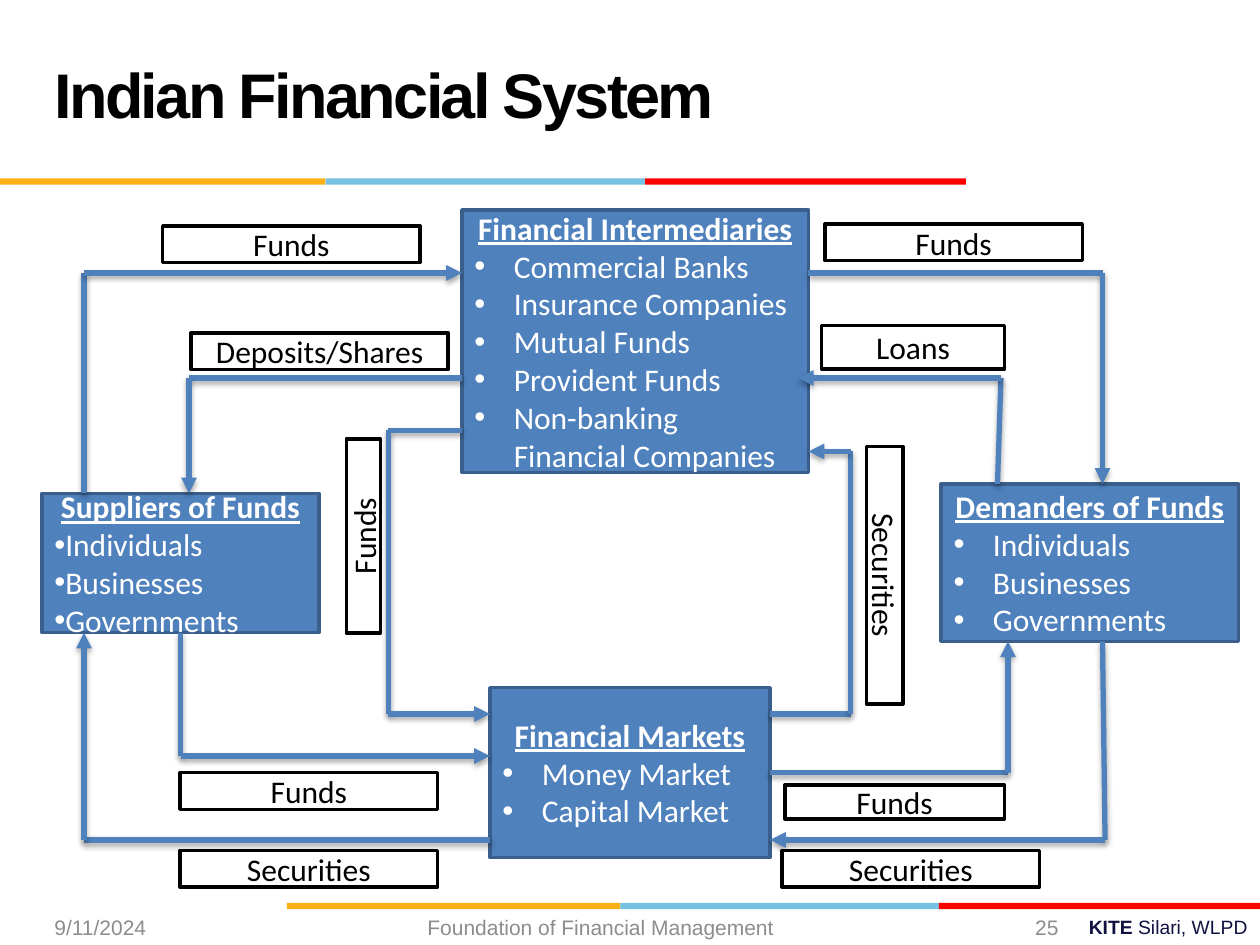
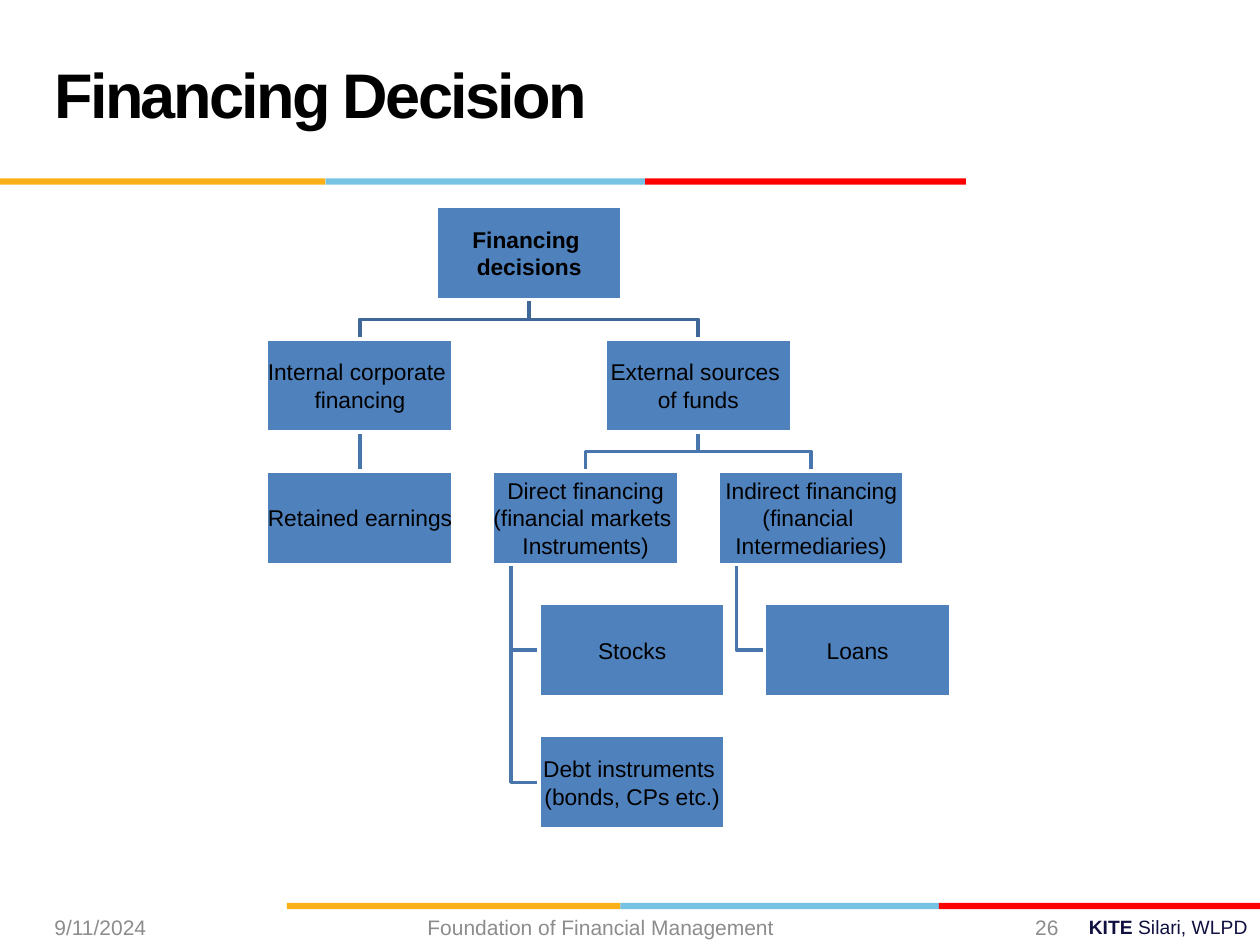
import itertools
from dataclasses import dataclass

import pptx
import pptx.dml.color
import pptx.enum.shapes
import pptx.enum.text
import pptx.oxml
import pptx.oxml.ns
import pptx.util

Pt = pptx.util.Pt
Align = pptx.enum.text.PP_ALIGN
Anchor = pptx.enum.text.MSO_ANCHOR
Preset = pptx.enum.shapes.MSO_SHAPE
STRAIGHT = pptx.enum.shapes.MSO_CONNECTOR.STRAIGHT


@dataclass(frozen=True)
class Theme:
    black: str = "000000"
    white: str = "FFFFFF"
    blue: str = "4F81BD"
    box_edge: str = "3A5F8C"
    root_link: str = "3F6797"
    branch_link: str = "4875AC"
    grey: str = "8C8C8C"
    navy: str = "101141"
    stripe: tuple = ("FCB017", "76C2E5", "FF0000")
    heading_font: str = "Arial"
    flow_font: str = "Calibri"
    title_size: float = 36
    flow_size: float = 18
    tree_size: float = 13
    footer_size: float = 12
    brand_size: float = 11
    edge_width: float = 2
    flow_width: float = 3


THEME = Theme()

DATE = "9/11/2024"
COURSE = "Foundation of Financial Management "
BRAND = ("KITE ", "Silari, WLPD")

# Stripe edges from left to right, and the stripe's top
STRIPES = [((0, 186, 368.7, 552), 102), ((164, 354.5, 536.5, 720), 516)]
STRIPE_HEIGHT = 3.6

# name: (left, top, width, height), bullet indent, members
PARTIES = {
    "Financial Intermediaries": ((264, 120, 198, 150), 22.5, [
        "Commercial Banks", "Insurance Companies", "Mutual Funds",
        "Provident Funds", "Non-banking Financial Companies"]),
    "Demanders of Funds": ((537.8, 276.5, 170, 90), 22.5, [
        "Individuals", "Businesses", "Governments"]),
    "Suppliers of Funds": ((24, 282, 158.4, 79.5), 0, [
        "Individuals", "Businesses", "Governments"]),
    "Financial Markets": ((280, 393, 160, 97), 22.5, [
        "Money Market", "Capital Market"]),
}

# Corner points of each flow, then the party and side its first line is joined to
FLOWS = [
    ([(462, 156), (630, 156), (630, 276.5)], None),
    ([(570, 276.5), (572, 216), (456, 216)], None),
    ([(440, 408), (486, 408), (486, 258), (462, 258)], None),
    ([(440, 441.5), (576, 441.5), (576, 366.5)], ("Financial Markets", 3)),
    ([(630, 366.5), (631.5, 480), (440, 480)], None),
    ([(280, 480), (48, 480), (48, 361.5)], None),
    ([(48, 282), (48, 156), (264, 156)], None),
    ([(264, 216), (108, 216), (108, 282)], None),
    ([(103.2, 361.5), (103.2, 432), (280, 432)], ("Suppliers of Funds", 2)),
    ([(264, 246), (222, 246), (222, 408), (280, 408)], None),
]

# text, (left, top, width, height), rotation
FLOW_LABELS = [
    ("Securities", (103, 486, 147, 21), 0),
    ("Securities", (447, 486, 147, 21), 0),
    ("Funds", (103, 441.5, 147, 21), 0),
    ("Funds", (448.5, 448.5, 125.5, 19.5), 0),
    ("Funds", (93, 129, 147, 21), 0),
    ("Funds", (471.5, 128, 147, 21), 0),
    ("Loans", (469.5, 186, 104.5, 25), 0),
    ("Deposits/Shares", (109.2, 190.2, 147, 21), 0),
    ("Funds", (152.2, 296.5, 111, 19.5), 270),
    ("Securities", (432, 318.2, 147, 21), 90),
]

# Each node: text lines, children side by side below, children hung in a column
DECISIONS = (["Financing ", "decisions"], [
    (["Internal corporate ", "financing"], [
        (["Retained earnings"], [], []),
    ], []),
    (["External sources ", "of funds"], [
        (["Direct financing", "(financial markets ", "Instruments)"], [], [
            ["Stocks"], ["Debt instruments ", "(bonds, CPs etc.)"]]),
        (["Indirect financing", "(financial ", "Intermediaries)"], [], [
            ["Loans"]]),
    ], []),
], [])
TREE_LEFT, TREE_TOP = 152.4, 118
NODE_WIDTH, NODE_HEIGHT = 106.5, 53.3
COLUMN_STEP, ROW_STEP = 128.9, 75.6


def rgb(color):
    return pptx.dml.color.RGBColor.from_string(color)


def write(frame, text, *, size, font=THEME.heading_font, color=THEME.black, bold=False,
          underline=False, align=Align.LEFT, bullet_indent=None, tracking=None,
          line_spacing=None, same_line=False):
    """Add text as a new paragraph, or as a further span of the last one."""
    para = frame.paragraphs[-1]
    if para.runs and not same_line:
        para = frame.add_paragraph()
    para.alignment = align
    if line_spacing:
        para.line_spacing = Pt(line_spacing)
    if bullet_indent is not None:
        properties = para._p.get_or_add_pPr()
        properties.set("marL", str(Pt(bullet_indent)))
        properties.set("indent", str(-Pt(bullet_indent)))
        append_xml(properties, '<a:buFont {ns} typeface="Arial"/>')
        append_xml(properties, '<a:buChar {ns} char="•"/>')
    span = para.add_run()
    span.text = text
    span.font.name, span.font.size = font, Pt(size)
    span.font.bold, span.font.underline = bold, underline
    span.font.color.rgb = rgb(color)
    if tracking:
        span._r.get_or_add_rPr().set("spc", str(round(tracking * 100)))


def append_xml(parent, markup):
    parent.append(pptx.oxml.parse_xml(markup.format(ns=pptx.oxml.ns.nsdecls("a"))))


def add_text_box(page, place, anchor=Anchor.MIDDLE):
    frame = page.shapes.add_textbox(*map(Pt, place)).text_frame
    frame.word_wrap = True
    frame.vertical_anchor = anchor
    return frame


def add_box(page, place, fill, edge=None):
    box = page.shapes.add_shape(Preset.RECTANGLE, *map(Pt, place))
    box.shadow.inherit = False
    box.fill.solid()
    box.fill.fore_color.rgb = rgb(fill)
    if edge:
        style_line(box.line, edge, THEME.edge_width)
    else:
        box.line.fill.background()
    box.text_frame.vertical_anchor = Anchor.MIDDLE
    return box


def style_line(line, color, width):
    line.color.rgb = rgb(color)
    line.width = Pt(width)


def add_straight(page, start, end, color, width):
    line = page.shapes.add_connector(STRAIGHT, *map(Pt, (*start, *end)))
    style_line(line.line, color, width)
    return line


def add_page(deck, title, number):
    page = deck.slides.add_slide(deck.slide_layouts[6])
    for edges, top in STRIPES:
        for (left, right), color in zip(itertools.pairwise(edges), THEME.stripe):
            add_box(page, (left, top, right - left, STRIPE_HEIGHT), color)
    write(add_text_box(page, (24, 12, 498, 90)), title, size=THEME.title_size,
          bold=True, tracking=-1.5, line_spacing=36)
    for text, left, width, align in [(DATE, 24, 168, Align.LEFT),
                                     (COURSE, 162, 366, Align.CENTER),
                                     (str(number), 532, 80, Align.RIGHT)]:
        write(add_text_box(page, (left, 519, width, 21)), text,
              size=THEME.footer_size, color=THEME.grey, align=align)
    brand = add_text_box(page, (564, 519.4, 156, 20.6), Anchor.TOP)
    for text, bold in zip(BRAND, (True, False)):
        write(brand, text, size=THEME.brand_size, color=THEME.navy, bold=bold,
              align=Align.RIGHT, same_line=True)
    return page


def add_party(page, name, place, indent, members):
    box = add_box(page, place, THEME.blue, THEME.box_edge)
    style = dict(font=THEME.flow_font, size=THEME.flow_size, color=THEME.white)
    write(box.text_frame, name, bold=True, underline=True, align=Align.CENTER, **style)
    for member in members:
        write(box.text_frame, member, bullet_indent=indent, **style)
    return box


def add_flow(page, corners, joint, parties):
    """Draw a flow as straight lines, the last one with an arrowhead."""
    lines = [add_straight(page, start, end, THEME.blue, THEME.flow_width)
             for start, end in itertools.pairwise(corners)]
    if joint:
        party, side = joint
        lines[0].begin_connect(parties[party], side)
    append_xml(lines[-1].line._get_or_add_ln(), '<a:tailEnd {ns} type="triangle"/>')
    for line in lines:
        append_xml(line._element.spPr, '<a:effectLst {ns}><a:outerShdw blurRad="40000" '
                   'dist="23000" dir="5400000" rotWithShape="0"><a:srgbClr val="000000">'
                   '<a:alpha val="35000"/></a:srgbClr></a:outerShdw></a:effectLst>')


def add_system_page(deck):
    page = add_page(deck, "Indian Financial System", 25)
    parties = {name: add_party(page, name, *details) for name, details in PARTIES.items()}
    for corners, joint in FLOWS:
        add_flow(page, corners, joint, parties)
    for text, place, rotation in FLOW_LABELS:
        label = add_box(page, place, THEME.white, THEME.black)
        label.rotation = rotation
        write(label.text_frame, text, font=THEME.flow_font, size=THEME.flow_size,
              align=Align.CENTER)


def add_node(page, lines, left, row, bold=False):
    place = (left, TREE_TOP + row * ROW_STEP, NODE_WIDTH, NODE_HEIGHT)
    box = add_box(page, place, THEME.blue, THEME.white)
    frame = box.text_frame
    frame.word_wrap = False
    frame.margin_left = frame.margin_right = frame.margin_top = frame.margin_bottom = Pt(0.7)
    for line in lines:
        write(frame, line, size=THEME.tree_size, bold=bold, align=Align.CENTER)
    return box


def send_to_back(page, link):
    page.shapes._spTree.insert(2, link._element)


def add_bent_link(page, points, color):
    builder = page.shapes.build_freeform(*map(Pt, points[0]))
    builder.add_line_segments([tuple(map(Pt, point)) for point in points[1:]], close=False)
    link = builder.convert_to_shape()
    link.shadow.inherit = False
    link.fill.background()
    style_line(link.line, color, THEME.edge_width)
    send_to_back(page, link)


def add_branch(page, node, row, columns):
    """Draw a node and all below it; return its left edge and its box."""
    lines, children, hung = node
    below = [add_branch(page, child, row + 1, columns) for child in children]
    if below:
        left = (below[0][0] + below[-1][0]) / 2
    else:
        left = TREE_LEFT + next(columns) * COLUMN_STEP
    box = add_node(page, lines, left, row, bold=row == 0)
    color = THEME.branch_link if row else THEME.root_link
    bottom = TREE_TOP + row * ROW_STEP + NODE_HEIGHT
    next_top = TREE_TOP + (row + 1) * ROW_STEP
    middle, bend = left + NODE_WIDTH / 2, (bottom + next_top) / 2
    for child_left, child_box in below:
        target = child_left + NODE_WIDTH / 2
        if target == middle:
            link = add_straight(page, (middle, bottom), (middle, next_top),
                                color, THEME.edge_width)
            link.begin_connect(box, 2)
            link.end_connect(child_box, 0)
            append_xml(link._element.spPr, "<a:effectLst {ns}/>")
            send_to_back(page, link)
        else:
            add_bent_link(page, [(middle, bottom), (middle, bend),
                                 (target, bend), (target, next_top)], color)
    trunk, hung_left = left + NODE_WIDTH / 10, left + NODE_WIDTH / 4
    for hung_row, hung_lines in enumerate(hung, row + 1):
        add_node(page, hung_lines, hung_left, hung_row)
        center = TREE_TOP + hung_row * ROW_STEP + NODE_HEIGHT / 2
        add_bent_link(page, [(trunk, bottom), (trunk, center), (hung_left, center)], color)
    return left, box


def main():
    deck = pptx.Presentation()
    deck.slide_width, deck.slide_height = Pt(720), Pt(540)
    add_system_page(deck)
    add_branch(add_page(deck, "Financing Decision", 26), DECISIONS, 0, itertools.count())
    deck.save("out.pptx")


if __name__ == "__main__":
    main()
